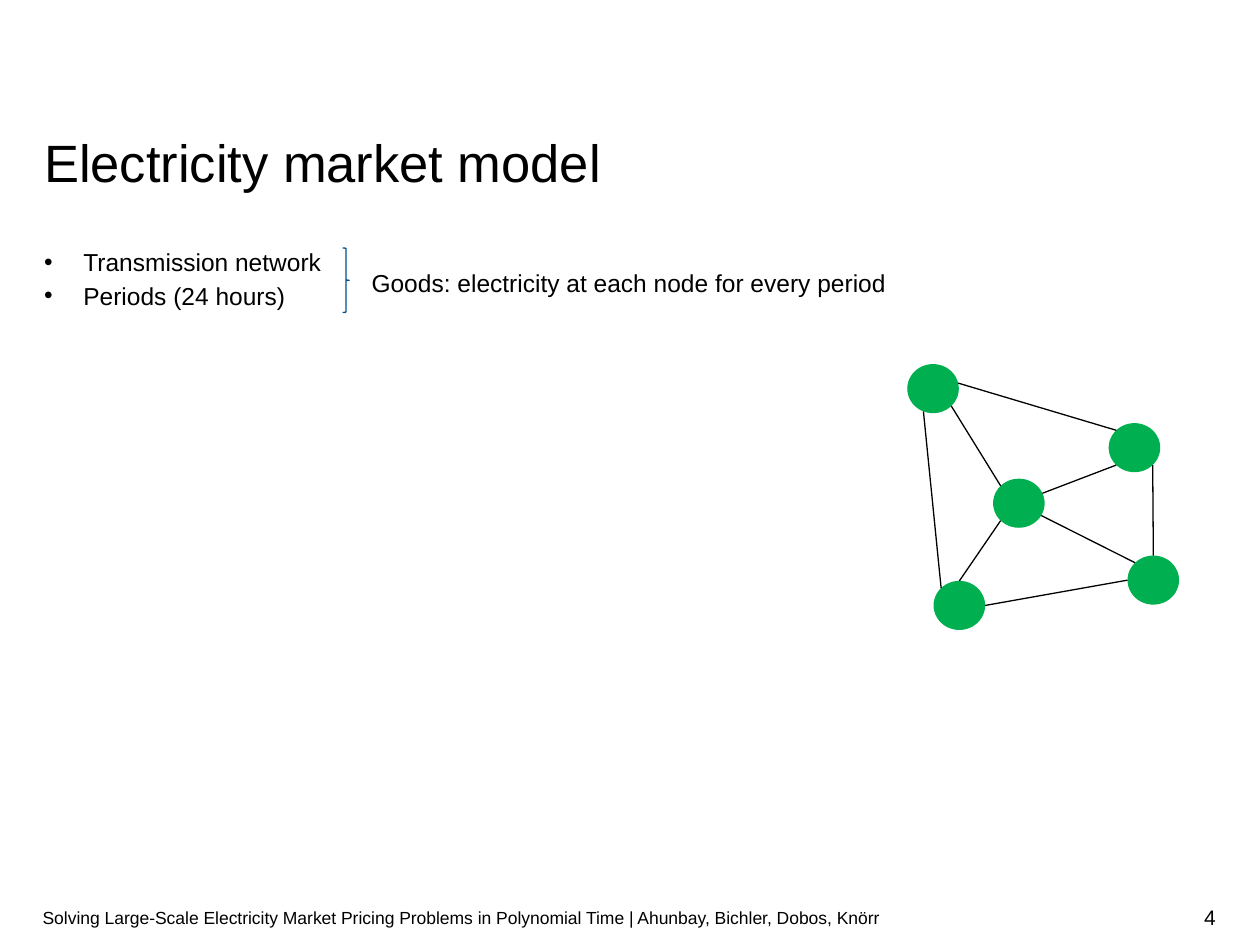
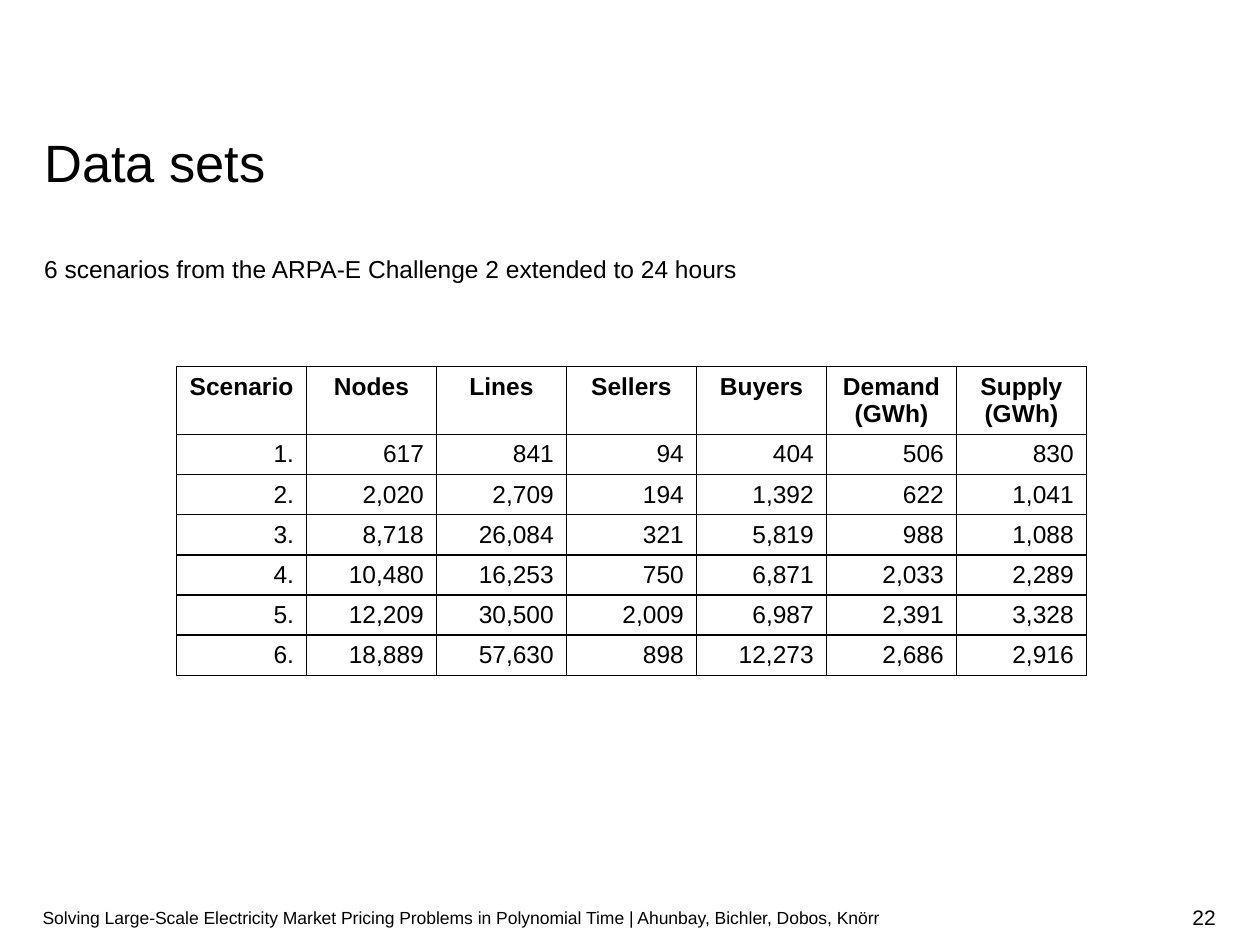
from math import cos, radians, sin

from lxml.etree import SubElement
from pptx import Presentation
from pptx.dml.color import RGBColor
from pptx.enum.shapes import MSO_CONNECTOR, MSO_SHAPE
from pptx.enum.text import MSO_ANCHOR, MSO_AUTO_SIZE, PP_ALIGN
from pptx.oxml import parse_xml
from pptx.oxml.ns import nsdecls, qn
from pptx.util import Cm, Pt

# Shared look
BLACK = RGBColor(0x00, 0x00, 0x00)
BLUE = RGBColor(0x00, 0x50, 0x90)
GREEN = RGBColor(0x00, 0xB0, 0x50)
THIN = Pt(0.75)
LEFT, WIDE = 0.89, 23.65
TITLE = {"size": Pt(30)}
BODY = {"size": Pt(14)}
HEAD = {"size": Pt(14), "bold": True}
FOOT = {"size": Pt(10)}
PAGE = {"size": Pt(12)}
LOOSE = {"line_spacing": 1.14}
FOOTER = ("Solving Large-Scale Electricity Market Pricing Problems in "
          "Polynomial Time | Ahunbay, Bichler, Dobos, Knörr")

# Network: top left corner of each node, then links as (node, angle) pairs
NODE_W, NODE_H = 1.04, 0.99
NODES = {"A": (18.29, 7.34), "B": (22.35, 8.53), "C": (20.02, 9.65),
         "D": (18.82, 11.71), "E": (22.73, 11.2)}
LINKS = [(("A", 45), ("C", 225)), (("C", 135), ("D", 270)),
         (("B", 135), ("C", -24)), (("C", 30), ("E", 225)),
         (("A", -13), ("B", 225)), (("B", 45), ("E", 270)),
         (("A", 112), ("D", 225)), (("D", 0), ("E", 180))]

COLS = ["Scenario", "Nodes", "Lines", "Sellers", "Buyers",
        "Demand (GWh)", "Supply (GWh)"]
DATA = [["1.", "617", "841", "94", "404", "506", "830"],
        ["2.", "2,020", "2,709", "194", "1,392", "622", "1,041"],
        ["3.", "8,718", "26,084", "321", "5,819", "988", "1,088"],
        ["4.", "10,480", "16,253", "750", "6,871", "2,033", "2,289"],
        ["5.", "12,209", "30,500", "2,009", "6,987", "2,391", "3,328"],
        ["6.", "18,889", "57,630", "898", "12,273", "2,686", "2,916"]]


def apply(item, form):
    for key, value in form.items():
        setattr(item, key, value)


def place(shape, left, top, width, height):
    apply(shape, {"left": Cm(left), "top": Cm(top),
                  "width": Cm(width), "height": Cm(height)})


def write(frame, lines, font, para=None):
    """Fill a text frame, one paragraph per line."""
    frame.text = "\n".join(lines)
    for item in frame.paragraphs:
        apply(item, {"alignment": PP_ALIGN.LEFT, "space_before": Pt(0),
                     **(para or {})})
        for run in item.runs:
            apply(run.font, {"name": "Arial", "bold": False, **font})
            run.font.color.rgb = BLACK


def set_frame(frame, pad=0, anchor=MSO_ANCHOR.TOP, wrap=True):
    apply(frame, {"margin_left": 0, "margin_right": 0,
                  "margin_top": Cm(pad), "margin_bottom": Cm(pad),
                  "vertical_anchor": anchor, "word_wrap": wrap,
                  "auto_size": MSO_AUTO_SIZE.NONE})


def add_text(slide, box, text, font, para=None, **frame):
    shape = slide.shapes.add_textbox(*map(Cm, box))
    set_frame(shape.text_frame, **frame)
    write(shape.text_frame, [text], font, para)


def add_slide(deck, layout, title, page):
    """Start a slide with its title, footer and page number."""
    slide = deck.slides.add_slide(deck.slide_layouts[layout])
    head = slide.shapes.title
    place(head, LEFT, 2.77, WIDE, 1.14)
    set_frame(head.text_frame)
    write(head.text_frame, [title], TITLE, {"line_spacing": Pt(32)})
    band = {"pad": 0.13, "anchor": MSO_ANCHOR.MIDDLE}
    add_text(slide, (0.86, 17.98, 20.88, 1.02), FOOTER, FOOT, **band)
    add_text(slide, (18.82, 17.98, 5.69, 1.02), page, PAGE,
             {"alignment": PP_ALIGN.RIGHT}, **band)
    return slide


def add_list(slide, lines):
    body = slide.placeholders[1]
    place(body, LEFT, 4.9, WIDE, 13.06)
    set_frame(body.text_frame)
    write(body.text_frame, lines, BODY, LOOSE)
    for item in body.text_frame.paragraphs:
        props = item._p.get_or_add_pPr()
        props.set("marL", str(Cm(0.79)))
        props.set("indent", str(-Cm(0.79)))
        SubElement(props, qn("a:buChar")).set("char", "•")


def add_brace(slide, box):
    brace = slide.shapes.add_shape(MSO_SHAPE.RIGHT_BRACE, *map(Cm, box))
    brace.shadow.inherit = False
    brace.fill.background()
    brace.line.color.rgb = BLUE
    brace.line.width = THIN


def add_node(slide, left, top):
    node = slide.shapes.add_shape(MSO_SHAPE.FLOWCHART_CONNECTOR, Cm(left),
                                  Cm(top), Cm(NODE_W), Cm(NODE_H))
    node.shadow.inherit = False
    node.fill.solid()
    node.fill.fore_color.rgb = GREEN
    node.line.fill.background()


def rim(name, angle):
    """Point on a node's edge, clockwise from its right side."""
    left, top = NODES[name]
    turn = radians(angle)
    return (Cm(left + NODE_W / 2 * (1 + cos(turn))),
            Cm(top + NODE_H / 2 * (1 + sin(turn))))


def add_link(slide, start, end):
    link = slide.shapes.add_connector(MSO_CONNECTOR.STRAIGHT,
                                      *rim(*start), *rim(*end))
    link.line.color.rgb = BLACK
    link.line.width = THIN
    SubElement(link._element.spPr, qn("a:effectLst"))


def set_cell(cell, text, font, align):
    write(cell.text_frame, [text], font, {"alignment": align})
    cell.fill.background()
    props = cell._tc.get_or_add_tcPr()
    for spot, side in enumerate("LRTB"):
        props.insert(spot, parse_xml(
            f'<a:ln{side} {nsdecls("a")} w="{Pt(1)}"><a:solidFill>'
            f'<a:srgbClr val="{BLACK}"/></a:solidFill></a:ln{side}>'))


def add_grid(slide, left, top, step):
    rows = [COLS] + DATA
    grid = slide.shapes.add_table(len(rows), len(COLS), Cm(left), Cm(top),
                                  Cm(step * len(COLS)), Cm(6.53)).table
    apply(grid, {"first_row": False, "horz_banding": False})
    for col in grid.columns:
        col.width = Cm(step)
    for i, row in enumerate(rows):
        grid.rows[i].height = Cm(0.74 if i else 1.22)
        font, align = ((BODY, PP_ALIGN.RIGHT) if i
                       else (HEAD, PP_ALIGN.CENTER))
        for j, text in enumerate(row):
            set_cell(grid.cell(i, j), text, font, align)


def main():
    deck = Presentation()
    apply(deck, {"slide_width": Cm(25.4), "slide_height": Cm(19.05)})

    # Market model: list, brace and network
    slide = add_slide(deck, 1, "Electricity market model", "4")
    add_list(slide, ["Transmission network", "Periods (24 hours)"])
    add_brace(slide, (6.91, 5, 0.13, 1.3))
    add_text(slide, (7.49, 5.33, 10.41, 0.64),
             "Goods: electricity at each node for every period",
             BODY, LOOSE, wrap=False)
    for spot in NODES.values():
        add_node(slide, *spot)
    for start, end in LINKS:
        add_link(slide, start, end)

    # Data sets: lead line and table
    slide = add_slide(deck, 5, "Data sets", "22")
    add_text(slide, (LEFT, 5.03, WIDE, 0.64),
             "6 scenarios from the ARPA-E Challenge 2 extended to 24 hours",
             BODY, LOOSE)
    add_grid(slide, 3.56, 7.39, 2.62)

    deck.save("out.pptx")


if __name__ == "__main__":
    main()
